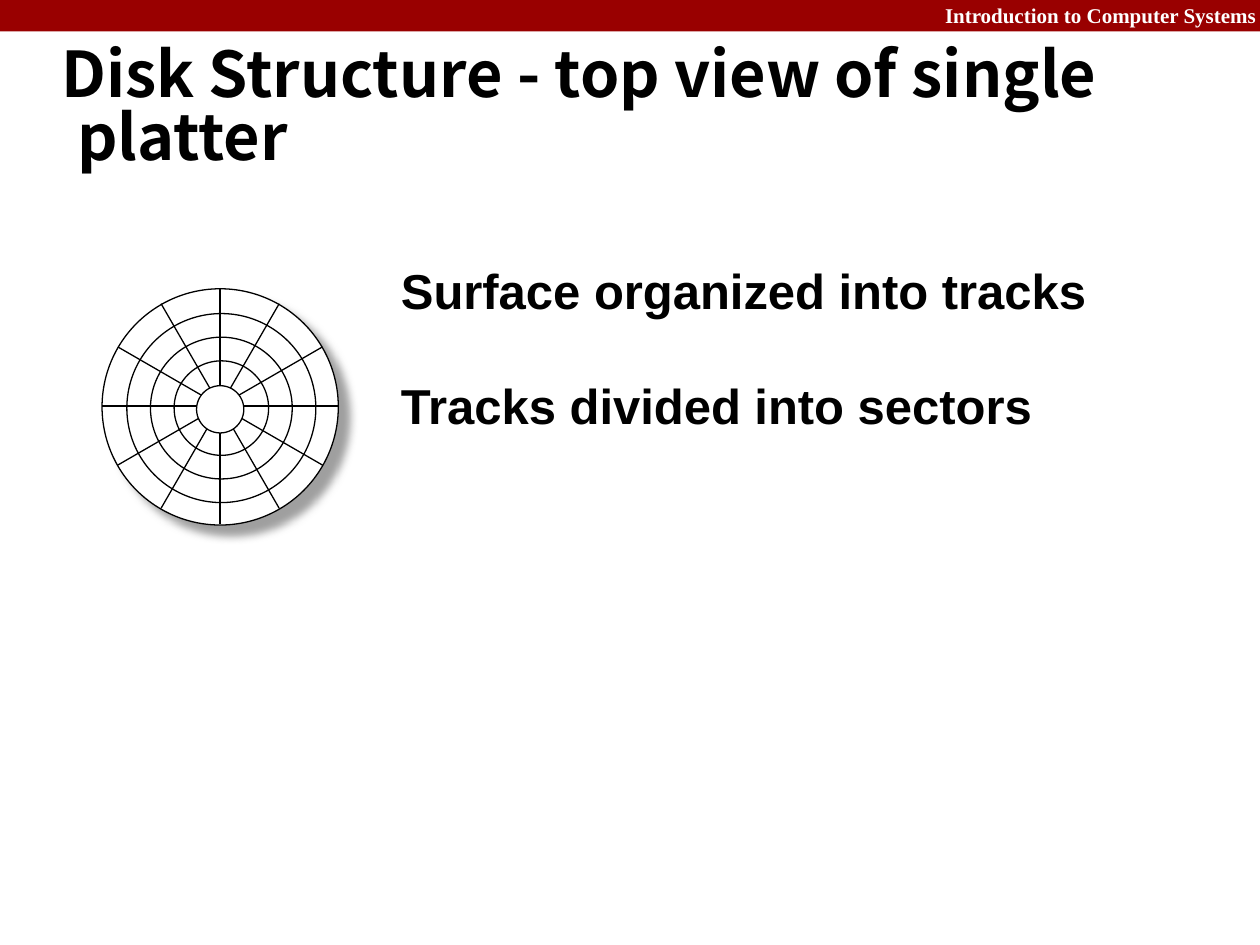
from math import cos, radians, sin

from lxml import etree
from pptx import Presentation
from pptx.dml.color import RGBColor
from pptx.enum.shapes import MSO_CONNECTOR, MSO_SHAPE
from pptx.enum.text import MSO_ANCHOR, PP_ALIGN
from pptx.oxml import parse_xml
from pptx.oxml.ns import nsdecls, qn
from pptx.util import Pt

RECTANGLE = MSO_SHAPE.RECTANGLE
OVAL = MSO_SHAPE.OVAL
STRAIGHT = MSO_CONNECTOR.STRAIGHT
TOP, MIDDLE, BOTTOM = MSO_ANCHOR.TOP, MSO_ANCHOR.MIDDLE, MSO_ANCHOR.BOTTOM
LEFT, RIGHT = PP_ALIGN.LEFT, PP_ALIGN.RIGHT

BLACK = RGBColor(0x00, 0x00, 0x00)
WHITE = RGBColor(0xFF, 0xFF, 0xFF)
DARK_RED = RGBColor(0x99, 0x00, 0x00)

SPOKES = 6
TRACK_SIZES = (108, 81, 54)
HUB_SIZE = 27
SHADOW = (
    f'<a:effectLst {nsdecls("a")}><a:outerShdw blurRad="63500" dist="107950" '
    'dir="2700000" algn="ctr" rotWithShape="0"><a:srgbClr val="808080">'
    '<a:alpha val="75000"/></a:srgbClr></a:outerShdw></a:effectLst>'
)


def add_text(page, box, text, font, size, color=BLACK, align=LEFT, anchor=TOP):
    """Add a wrapped one-paragraph bold text box and return its frame."""
    frame = page.shapes.add_textbox(*map(Pt, box)).text_frame
    frame.word_wrap = True
    frame.vertical_anchor = anchor
    para = frame.paragraphs[0]
    para.alignment = align
    span = para.add_run()
    span.text = text
    span.font.name = font
    span.font.size = Pt(size)
    span.font.bold = True
    span.font.color.rgb = color
    properties = span.font._element
    etree.SubElement(properties, qn("a:ea")).set("typeface", font)
    return frame


def add_circle(page, center_x, center_y, size, filled=False):
    """Add a thin black circle around a center."""
    box = (center_x - size / 2, center_y - size / 2, size, size)
    circle = page.shapes.add_shape(OVAL, *map(Pt, box))
    circle.shadow.inherit = False
    circle.line.color.rgb = BLACK
    circle.line.width = Pt(0.75)
    if filled:
        circle.fill.solid()
        circle.fill.fore_color.rgb = WHITE
    else:
        circle.fill.background()
    return circle


def add_spoke(page, center_x, center_y, radius, angle):
    """Add a sector line across the whole platter at an angle in degrees."""
    reach_x = radius * cos(radians(angle))
    reach_y = radius * sin(radians(angle))
    ends = (center_x + reach_x, center_y - reach_y, center_x - reach_x, center_y + reach_y)
    spoke = page.shapes.add_connector(STRAIGHT, *map(Pt, ends))
    spoke.line.color.rgb = BLACK
    spoke.line.width = Pt(0.75)
    etree.SubElement(spoke._element.spPr, qn("a:effectLst"))


def add_platter(page, left, top, size):
    """Draw the platter with its sector lines, tracks and hub."""
    center_x, center_y = left + size / 2, top + size / 2
    disk = add_circle(page, center_x, center_y, size, filled=True)
    properties = disk._element.spPr
    properties.replace(properties.find(qn("a:effectLst")), parse_xml(SHADOW))
    for index in range(SPOKES):
        add_spoke(page, center_x, center_y - 0.5, size / 2, index * 180 / SPOKES)
    for track_size in TRACK_SIZES:
        add_circle(page, center_x + 0.7, center_y + 0.7, track_size)
    add_circle(page, center_x, center_y + 1.4, HUB_SIZE, filled=True)


def add_header(page, left, top, width, height):
    """Draw the red bar with the course name at its right."""
    bar = page.shapes.add_shape(RECTANGLE, Pt(left), Pt(top), Pt(width), Pt(height))
    bar.shadow.inherit = False
    bar.fill.solid()
    bar.fill.fore_color.rgb = DARK_RED
    bar.line.fill.background()
    add_text(page, (left + width - 288, top - 2, 293, height + 4),
             "Introduction to Computer Systems", "Times New Roman", 12, WHITE, RIGHT)


def add_title(page, *box):
    """Write the slide title with a small hanging indent."""
    frame = add_text(page, box, "Disk Structure - top view of single platter",
                     "Noto Sans CJK SC", 36, anchor=MIDDLE)
    frame.margin_top = Pt(9.6)
    para = frame.paragraphs[0]
    para.line_spacing = 0.83
    properties = para._p.get_or_add_pPr()
    properties.set("marL", str(Pt(9)))
    properties.set("indent", str(-Pt(9)))


def add_statements(page, left, top, width, height):
    """Stack the two statements beside the platter."""
    statements = ("Surface organized into tracks", "Tracks divided into sectors")
    for index, text in enumerate(statements):
        add_text(page, (left, top + index * height, width, height),
                 text, "Arial", 28, anchor=BOTTOM)


def main():
    """Build the deck and save it."""
    deck = Presentation()
    deck.slide_width, deck.slide_height = Pt(720), Pt(540)
    page = deck.slides.add_slide(deck.slide_layouts[6])
    add_header(page, 0, 0, 720, 18)
    add_platter(page, 58.3, 165, 135)
    add_title(page, 28, 30, 668, 60)
    add_statements(page, 222, 120, 450, 66)
    deck.save("out.pptx")


if __name__ == "__main__":
    main()
